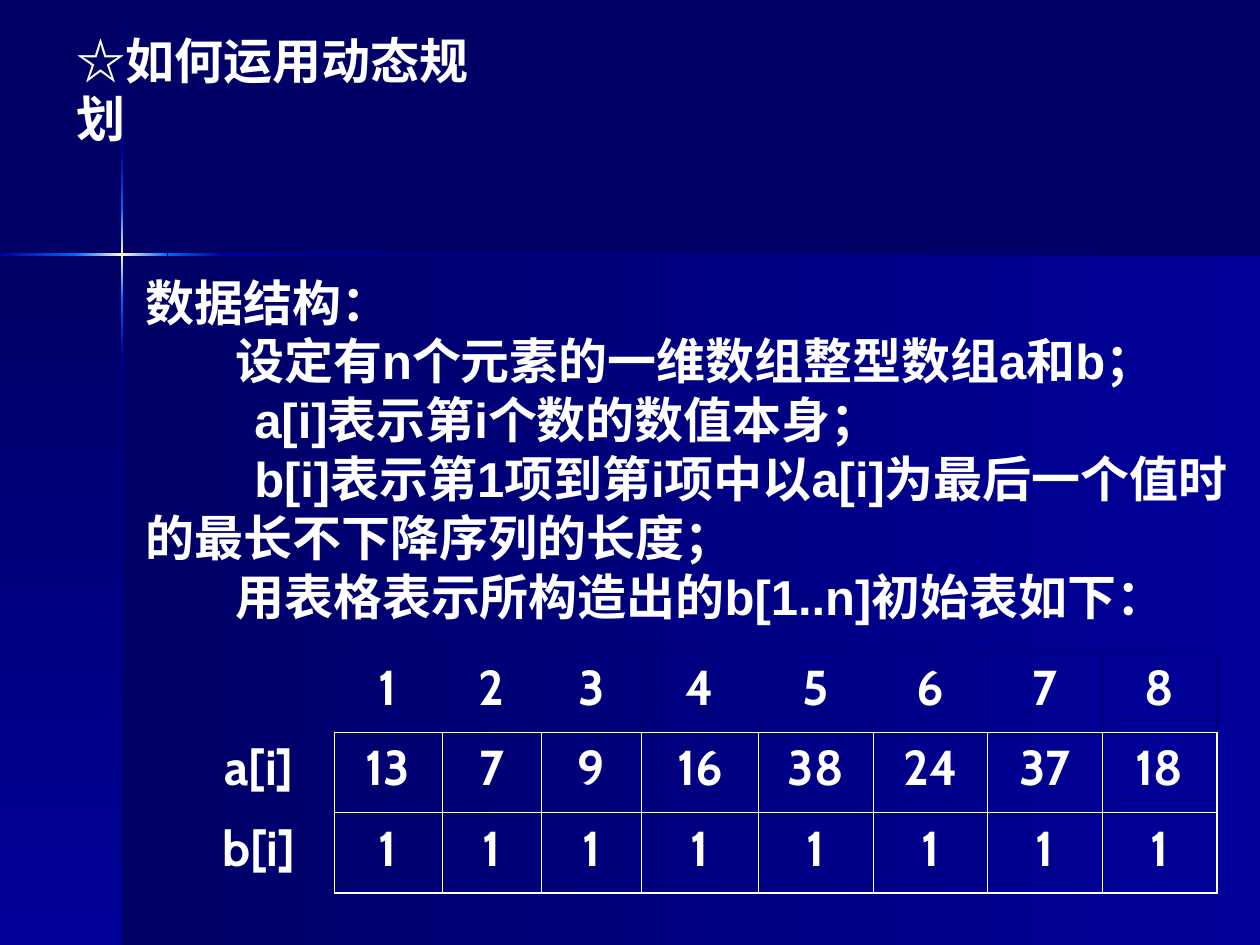
from copy import deepcopy

from lxml import etree
from pptx import Presentation
from pptx.dml.color import RGBColor
from pptx.enum.shapes import MSO_SHAPE
from pptx.enum.text import MSO_ANCHOR, MSO_AUTO_SIZE, PP_ALIGN
from pptx.oxml.ns import qn
from pptx.util import Inches, Pt

RECTANGLE = MSO_SHAPE.RECTANGLE
BOTTOM, TOP = MSO_ANCHOR.BOTTOM, MSO_ANCHOR.TOP
FIT_SHAPE = MSO_AUTO_SIZE.SHAPE_TO_FIT_TEXT
CENTER, LEFT = PP_ALIGN.CENTER, PP_ALIGN.LEFT

NAVY = RGBColor(0x00, 0x00, 0x66)
BLUE = RGBColor(0x00, 0x00, 0x99)
BRIGHT = RGBColor(0x00, 0x66, 0xFF)
CREAM = RGBColor(0xFF, 0xFF, 0xCC)
WHITE = RGBColor(0xFF, 0xFF, 0xFF)


def write(para, text, font="Arial", align=LEFT, before=0, indent=0):
    """Put bold white text in a paragraph, with an optional first-line indent."""
    para.alignment = align
    para.space_before = Pt(before)
    if indent:
        properties = para._p.get_or_add_pPr()
        properties.set("marL", "0")
        properties.set("indent", str(Inches(indent)))
    span = para.add_run()
    span.text = text
    span.font.name = font
    span.font.size = Pt(28)
    span.font.bold = True
    span.font.color.rgb = WHITE


deck = Presentation()
deck.slide_width, deck.slide_height = Inches(10), Inches(7.5)
page = deck.slides.add_slide(deck.slide_layouts[6])
page.background.fill.solid()
page.background.fill.fore_color.rgb = NAVY

# Background panels and the crossing light beams: left, top, width, height,
# gradient angle (counter-clockwise) and colours
DOWN, LEFTWARD = 270, 180
panels = [
    (0.97, 2.02, 9.03, 5.48, LEFTWARD, (BLUE, NAVY)),
    (0, 2.02, 0.97, 5.48, DOWN, (NAVY, BLUE)),
    (0.96, 0.01, 0.02, 1.2, DOWN, (NAVY, BLUE)),
    (0.96, 2.82, 0.02, 4.68, DOWN, (BLUE, NAVY)),
    (1.77, 2.01, 8.23, 0.02, LEFTWARD, (NAVY, BLUE)),
    (0.96, 2.38, 0.02, 0.44, DOWN, (BRIGHT, BLUE)),
    (0.96, 1.21, 0.02, 0.44, DOWN, (BLUE, BRIGHT)),
    (0.96, 1.65, 0.02, 0.73, DOWN, (BRIGHT, CREAM, BRIGHT)),
    (0, 2.01, 0.61, 0.02, LEFTWARD, (BRIGHT, BLUE)),
    (1.33, 2.01, 0.44, 0.02, LEFTWARD, (BLUE, BRIGHT)),
    (0.6, 2.01, 0.73, 0.02, LEFTWARD, (BRIGHT, CREAM, BRIGHT)),
]
for left, top, width, height, angle, colours in panels:
    panel = page.shapes.add_shape(
        RECTANGLE, Inches(left), Inches(top), Inches(width), Inches(height))
    panel.shadow.inherit = False
    panel.line.fill.background()
    panel.fill.gradient()
    panel.fill.gradient_angle = angle
    stop_list = panel._element.spPr.find(".//" + qn("a:gsLst"))
    if len(colours) == 3:
        stop_list.insert(1, deepcopy(stop_list[0]))
    for index, (stop, colour) in enumerate(zip(panel.fill.gradient_stops, colours)):
        stop.position = index / (len(colours) - 1)
        stop.color.rgb = colour

# Table of the starting values
rows = [
    ["", "1", "2", "3", "4", "5", "6", "7", "8"],
    ["a[i]", "13", "7", "9", "16", "38", "24", "37", "18"],
    ["b[i]"] + ["1"] * 8,
]
widths = [1.19, 0.86, 0.79, 0.79, 0.93] + [0.91] * 4
table_frame = page.shapes.add_table(
    len(rows), len(widths), Inches(1.46), Inches(5.17),
    Inches(sum(widths)), Inches(1.91))
table = table_frame.table
table.first_row = table.horz_banding = False
for column, width in zip(table.columns, widths):
    column.width = Inches(width)

for r, values in enumerate(rows):
    table.rows[r].height = Inches(0.64)
    for c, value in enumerate(values):
        cell = table.cell(r, c)
        cell.fill.background()
        cell.vertical_anchor = TOP
        write(cell.text_frame.paragraphs[0], value, font="Cabin",
              align=CENTER, before=7)

        # White grid around the numbers, navy elsewhere
        in_grid = r > 0 and c > 0
        last_column, last_row = c == len(widths) - 1, r == len(rows) - 1
        borders = [
            ("a:lnL", in_grid, False),
            ("a:lnR", r > 0, in_grid and last_column),
            ("a:lnT", in_grid, False),
            ("a:lnB", c > 0, in_grid and last_row),
        ]
        for place, (tag, is_white, is_thick) in enumerate(borders):
            line = etree.Element(qn(tag), w=str(Pt(1.08 if is_thick else 0.45)))
            fill = etree.SubElement(line, qn("a:solidFill"))
            etree.SubElement(fill, qn("a:srgbClr"),
                             val=str(WHITE if is_white else NAVY))
            cell._tc.get_or_add_tcPr().insert(place, line)

# Explanation: text and first-line indent
explanation = [
    ("数据结构：", 0),
    ("设定有n个元素的一维数组整型数组a和b；", 0.71),
    ("a[i]表示第i个数的数值本身；", 0.86),
    ("b[i]表示第1项到第i项中以a[i]为最后一个值时的最长不下降序列的长度；", 0.86),
    ("用表格表示所构造出的b[1..n]初始表如下：", 0.71),
]
body_box = page.shapes.add_textbox(
    Inches(1.06), Inches(2.11), Inches(8.82), Inches(2.9))
body = body_box.text_frame
body.word_wrap = True
body.auto_size = FIT_SHAPE
body.vertical_anchor = BOTTOM
for index, (text, indent) in enumerate(explanation):
    para = body.add_paragraph() if index else body.paragraphs[0]
    write(para, text, indent=indent)

# Heading
heading_box = page.shapes.add_textbox(
    Inches(0.51), Inches(0.19), Inches(3.69), Inches(0.57))
heading_box.text_frame.word_wrap = False
heading_box.text_frame.auto_size = FIT_SHAPE
write(heading_box.text_frame.paragraphs[0], "☆如何运用动态规划")

deck.save("out.pptx")
